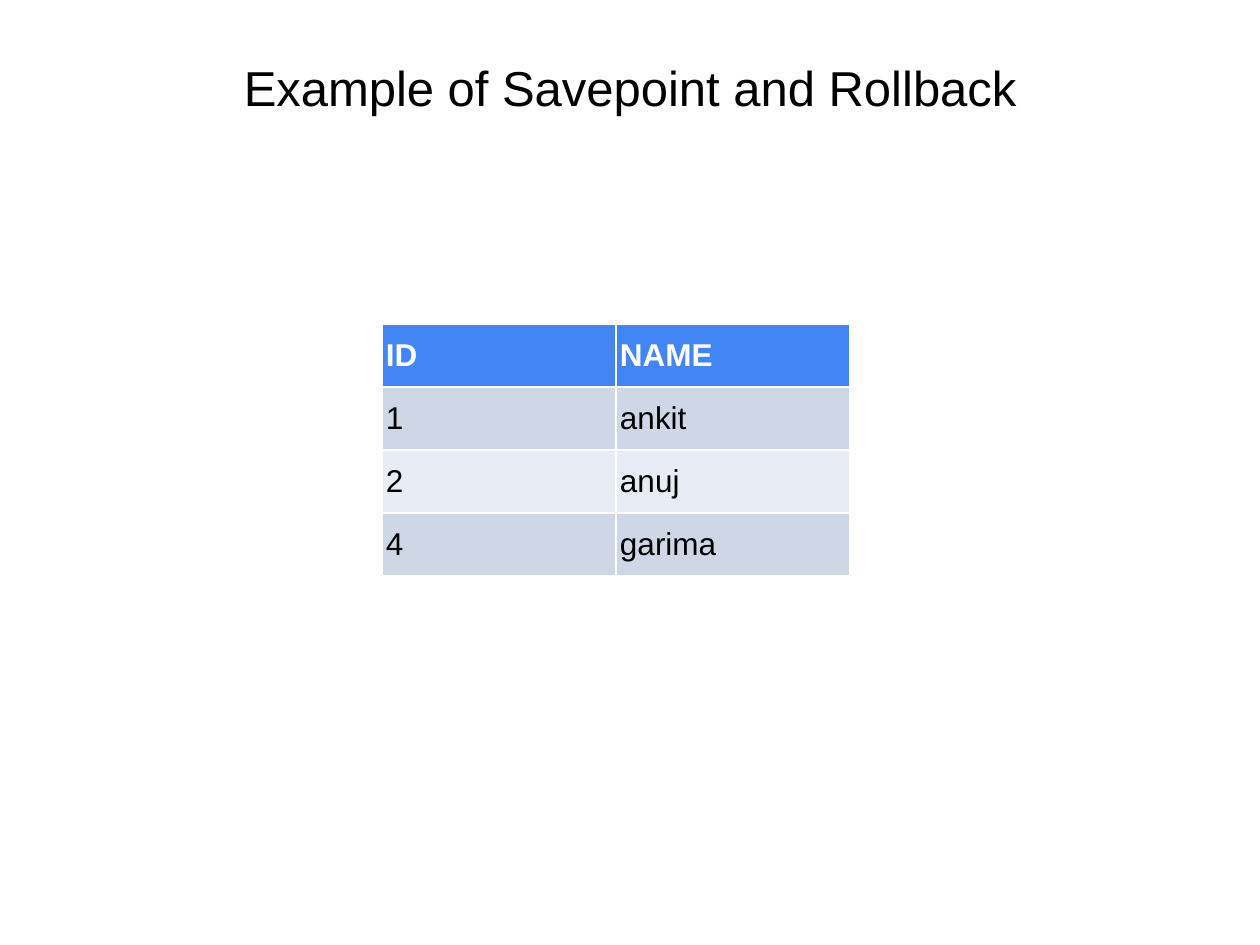
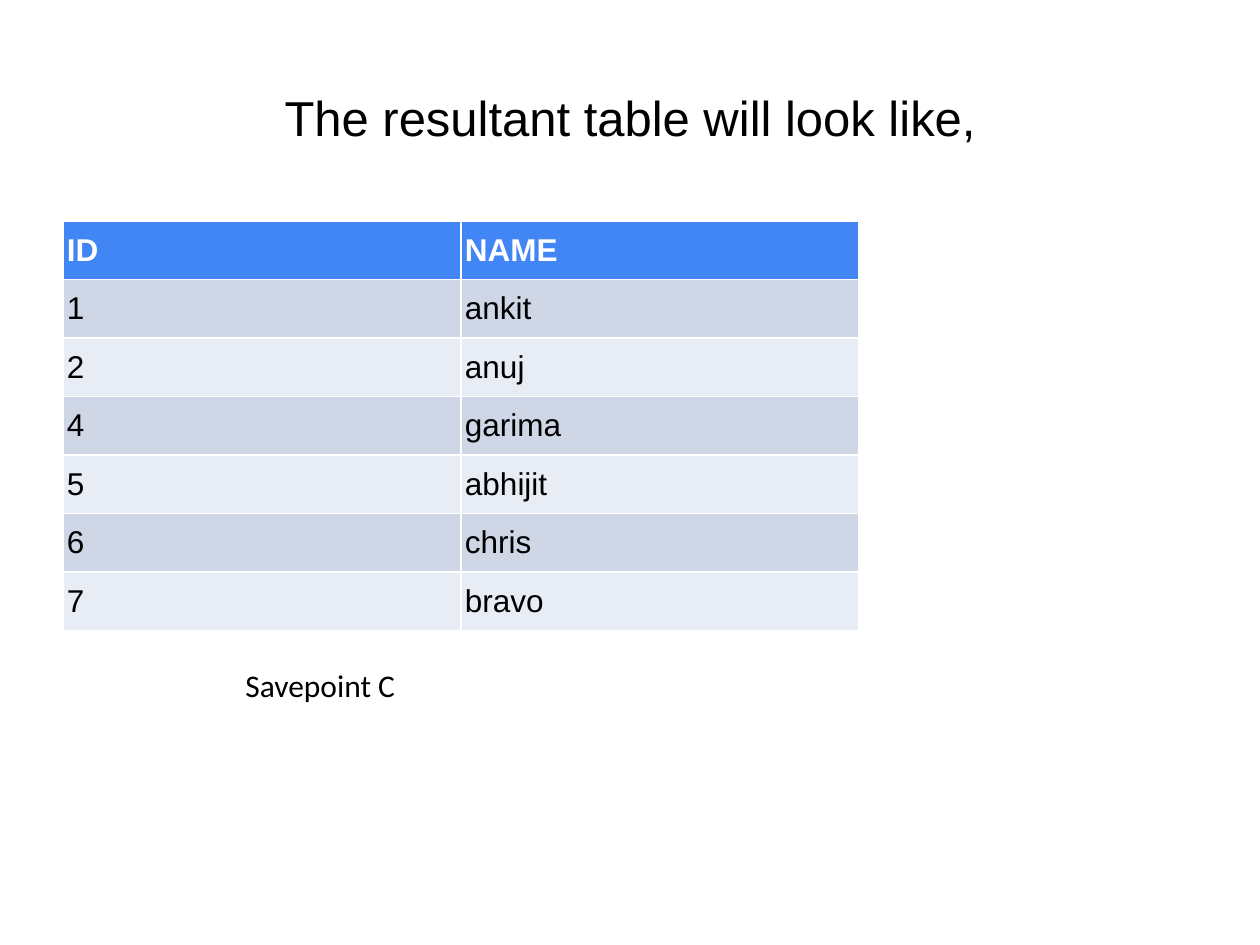
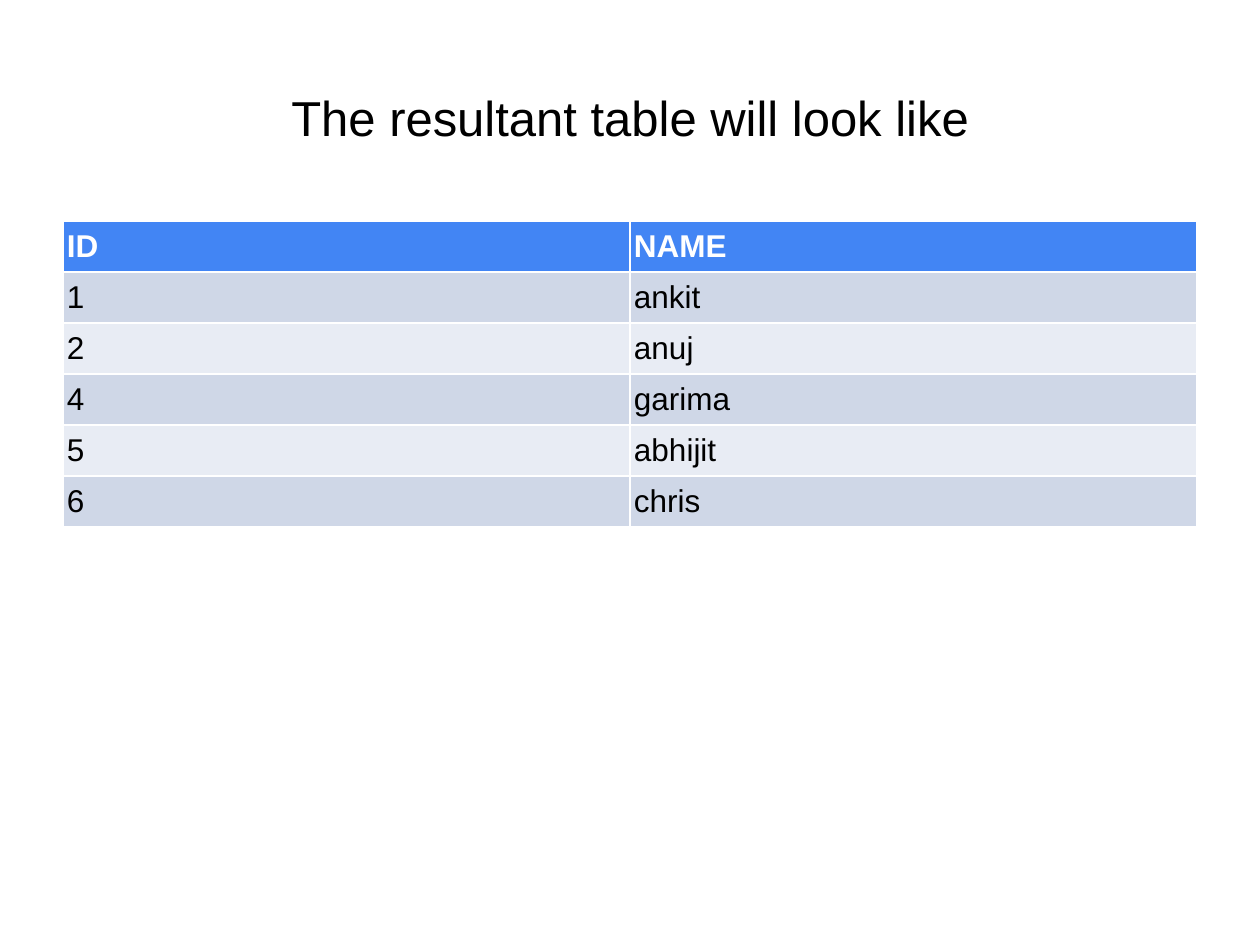
"""Build three slides on savepoint and rollback, each with a title and an ID/NAME table."""
from pptx import Presentation
from pptx.dml.color import RGBColor
from pptx.enum.text import MSO_ANCHOR, PP_ALIGN
from pptx.util import Pt

BLACK = RGBColor(0x00, 0x00, 0x00)
WHITE = RGBColor(0xFF, 0xFF, 0xFF)
HEADER = RGBColor(0x42, 0x85, 0xF4)
BAND_DARK = RGBColor(0xCF, 0xD7, 0xE7)
BAND_LIGHT = RGBColor(0xE8, 0xEC, 0xF4)

ROWS = [("ID", "NAME"), ("1", "ankit"), ("2", "anuj"), ("4", "garima"),
        ("5", "abhijit"), ("6", "chris"), ("7", "bravo")]

SLIDES = [
    ("Example of Savepoint and Rollback", 66, ROWS[:4], (382, 324, 468, 252)),
    ("The resultant table will look like,", 6, ROWS, (63, 221, 796, 410)),
    ("The resultant table will look like", 6, ROWS[:6], (63, 221, 1134, 306)),
]


def px(n):
    return round(n * 914400 / 126)


def set_font(p, name, size, color, bold=False):
    p.font.name = name
    p.font.size = Pt(size)
    p.font.bold = bold
    p.font.color.rgb = color


prs = Presentation()
prs.slide_width, prs.slide_height = px(1260), px(945)

for title, margin_bottom, rows, box in SLIDES:
    s = prs.slides.add_slide(prs.slide_layouts[5])
    sp = s.shapes.title
    sp.left, sp.top, sp.width, sp.height = map(px, (63, 38, 1134, 158))
    tf = sp.text_frame
    tf.text = title
    tf.vertical_anchor = MSO_ANCHOR.MIDDLE
    tf.margin_bottom = px(margin_bottom)
    p = tf.paragraphs[0]
    p.alignment = PP_ALIGN.CENTER
    set_font(p, "Arial", 28, BLACK)

    table = s.shapes.add_table(len(rows), 2, *map(px, box)).table
    for i, row in enumerate(rows):
        fill = HEADER if i == 0 else BAND_DARK if i % 2 else BAND_LIGHT
        for j, text in enumerate(row):
            cell = table.cell(i, j)
            cell.text = text
            cell.vertical_anchor = MSO_ANCHOR.MIDDLE
            cell.margin_left = cell.margin_right = px(4)
            cell.margin_top = cell.margin_bottom = px(4)
            cell.fill.solid()
            cell.fill.fore_color.rgb = fill
            set_font(cell.text_frame.paragraphs[0], "Arial", 18,
                     WHITE if i == 0 else BLACK, i == 0)

sp = prs.slides[1].shapes.add_textbox(*map(px, (233, 660, 258, 50)))
tf = sp.text_frame
tf.word_wrap = True
tf.text = "Savepoint C"
set_font(tf.paragraphs[0], "Calibri", 18, BLACK)

prs.save("out.pptx")
